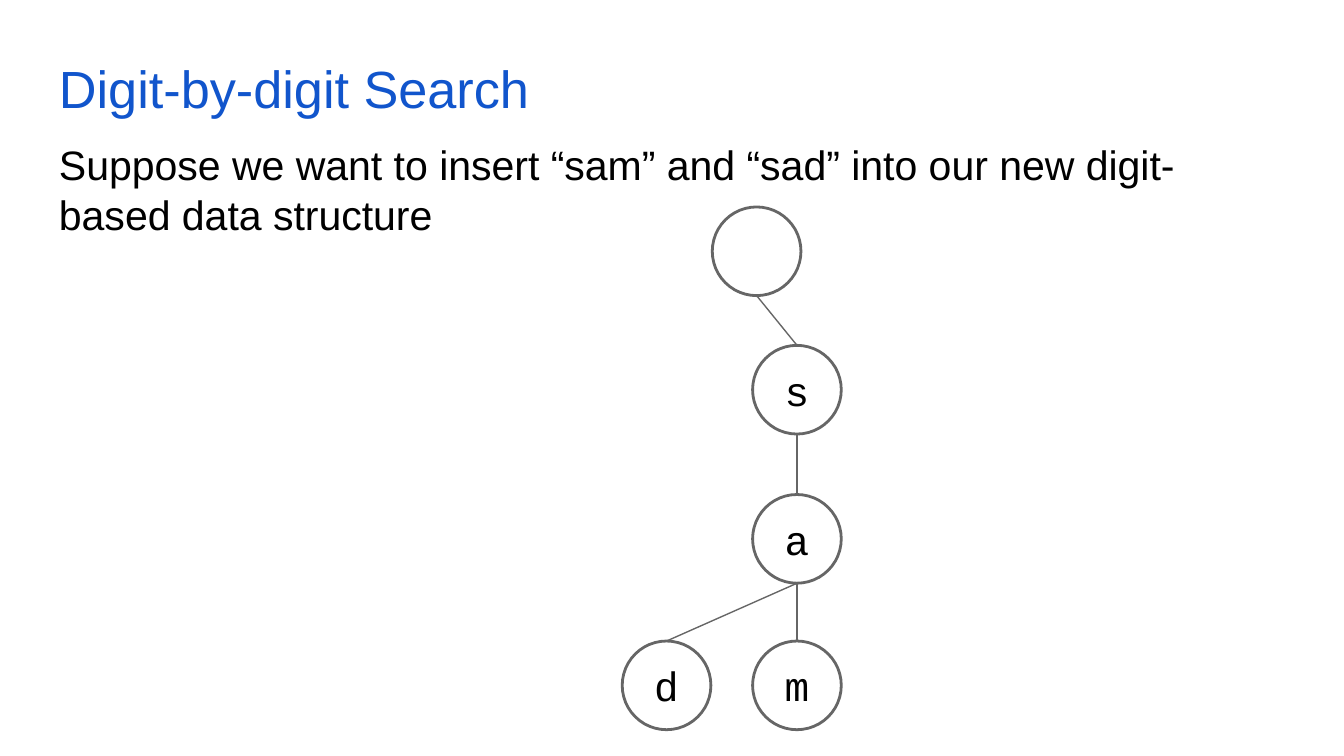
import pptx
import pptx.dml.color
import pptx.enum.shapes
import pptx.enum.text
import pptx.oxml.ns
import pptx.util
from dataclasses import dataclass
from lxml import etree

SLIDE_WIDTH = 10
SLIDE_HEIGHT = SLIDE_WIDTH * 9 / 16


@dataclass(frozen=True)
class Theme:
    title_color: str = "1155CC"
    text_color: str = "000000"
    line_color: str = "666666"
    node_fill: str = "FFFFFF"
    text_font: str = "Arial"
    node_font: str = "Courier New"
    title_size: float = 28
    text_size: float = 22
    node_line: float = 1.5
    edge_line: float = 0.75


def rgb(color):
    return pptx.dml.color.RGBColor.from_string(color)


def across(inches):
    """Share of the slide's width."""
    return inches / SLIDE_WIDTH


def down(inches):
    """Share of the slide's height."""
    return inches / SLIDE_HEIGHT


class TreeSlide:
    """Draws on one slide; every length is a share of the slide's size."""

    NODE_WIDTH = across(0.66)
    NODE_HEIGHT = down(0.66)

    def __init__(self, presentation, theme):
        self.theme = theme
        self.width = presentation.slide_width
        self.height = presentation.slide_height
        self.slide = presentation.slides.add_slide(presentation.slide_layouts[6])

    def place(self, x, y):
        return round(x * self.width), round(y * self.height)

    def add_run(self, paragraph, text, font, size, color):
        run = paragraph.add_run()
        run.text = text
        run.font.name = font
        run.font.size = pptx.util.Pt(size)
        run.font.color.rgb = rgb(color)

    def set_margins(self, frame):
        frame.word_wrap = True
        frame.margin_left = frame.margin_right = pptx.util.Inches(0.1)
        frame.margin_top = frame.margin_bottom = pptx.util.Inches(0.1)

    def add_text(self, text, x, y, width, height, size, color):
        shape = self.slide.shapes.add_textbox(*self.place(x, y), *self.place(width, height))
        self.set_margins(shape.text_frame)
        self.add_run(shape.text_frame.paragraphs[0], text, self.theme.text_font, size, color)

    def add_node(self, letter, center, top):
        shape = self.slide.shapes.add_shape(
            pptx.enum.shapes.MSO_SHAPE.OVAL,
            *self.place(center - self.NODE_WIDTH / 2, top),
            *self.place(self.NODE_WIDTH, self.NODE_HEIGHT))
        shape.shadow.inherit = False
        shape.fill.solid()
        shape.fill.fore_color.rgb = rgb(self.theme.node_fill)
        shape.line.color.rgb = rgb(self.theme.line_color)
        shape.line.width = pptx.util.Pt(self.theme.node_line)
        if letter:
            frame = shape.text_frame
            self.set_margins(frame)
            frame.vertical_anchor = pptx.enum.text.MSO_ANCHOR.MIDDLE
            paragraph = frame.paragraphs[0]
            paragraph.alignment = pptx.enum.text.PP_ALIGN.CENTER
            self.add_run(paragraph, letter, self.theme.node_font,
                         self.theme.text_size, self.theme.text_color)

    def add_edge(self, parent, child):
        """Join the bottom of the parent circle to the top of the child circle."""
        center, top = parent
        connector = self.slide.shapes.add_connector(
            pptx.enum.shapes.MSO_CONNECTOR.STRAIGHT,
            *self.place(center, top + self.NODE_HEIGHT), *self.place(*child))
        connector.line.color.rgb = rgb(self.theme.line_color)
        connector.line.width = pptx.util.Pt(self.theme.edge_line)
        etree.SubElement(connector._element.spPr, pptx.oxml.ns.qn("a:effectLst"))


def main():
    presentation = pptx.Presentation()
    presentation.slide_width = pptx.util.Inches(SLIDE_WIDTH)
    presentation.slide_height = pptx.util.Inches(SLIDE_HEIGHT)
    theme = Theme()
    tree = TreeSlide(presentation, theme)

    tree.add_text("Suppose we want to insert “sam” and “sad” into our new "
                  "digit-based data structure",
                  across(0.34), down(0.94), across(8.89), down(0.92),
                  theme.text_size, theme.text_color)
    tree.add_text("Digit-by-digit Search",
                  across(0.34), down(0.32), across(9.32), down(0.63),
                  theme.title_size, theme.title_color)

    root_x, trunk_x, branch_x = map(across, (5.63, 5.93, 4.96))
    levels = [down(top) for top in (1.54, 2.57, 3.68, 4.77)]
    nodes = {
        "": (root_x, levels[0]),
        "s": (trunk_x, levels[1]),
        "a": (trunk_x, levels[2]),
        "m": (trunk_x, levels[3]),
        "d": (branch_x, levels[3]),
    }
    for letter, position in nodes.items():
        tree.add_node(letter, *position)
    for parent, child in [("", "s"), ("s", "a"), ("a", "m"), ("a", "d")]:
        tree.add_edge(nodes[parent], nodes[child])

    presentation.save("out.pptx")


if __name__ == "__main__":
    main()
